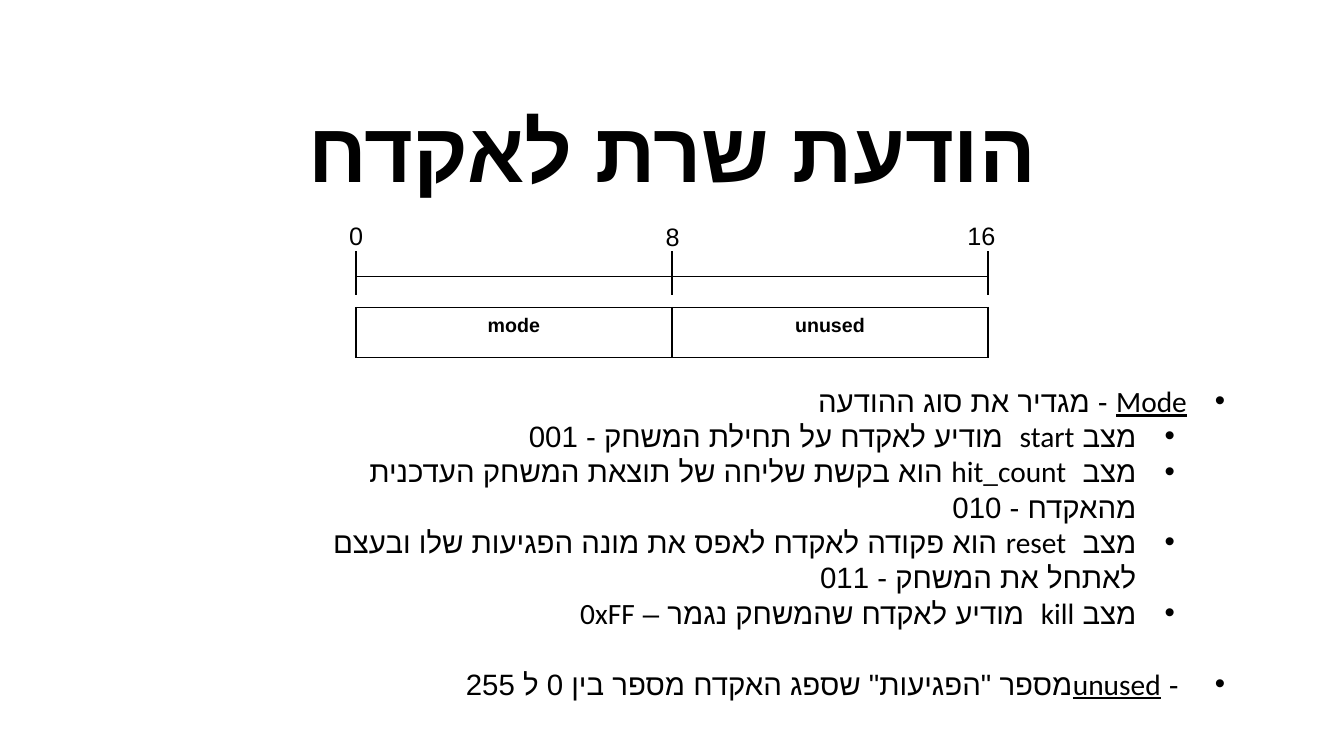
from lxml import etree
from pptx import Presentation
from pptx.dml.color import RGBColor
from pptx.enum.shapes import MSO_CONNECTOR as Connector
from pptx.enum.text import MSO_ANCHOR as Anchor, MSO_AUTO_SIZE as AutoSize, PP_ALIGN as Align
from pptx.oxml.ns import qn
from pptx.util import Inches, Pt

BLACK = RGBColor(0x00, 0x00, 0x00)

FIELD_LEFT, FIELD_WIDTH = 3.53, 3.135
FIELDS = ["mode", "unused"]

# Each bit label: text, left, top, width
BIT_LABELS = [("0", 3.36, 2.14, 0.34), ("8", 6.5, 2.15, 0.34), ("16", 9.49, 2.14, 0.48)]

# Each item: level, indent, space before in points, runs of (text, underlined)
ITEMS = [
    (1, 0.88, 0, [("Mode", True), (" - מגדיר את סוג ההודעה", False)]),
    (2, 1.38, 0, [("מצב start  מודיע לאקדח על תחילת המשחק - 001", False)]),
    (2, 1.38, 0, [("מצב  hit_count הוא בקשת שליחה של תוצאת המשחק העדכנית מהאקדח - 010", False)]),
    (2, 1.38, 0, [("מצב  reset הוא פקודה לאקדח לאפס את מונה הפגיעות שלו ובעצם "
                   "לאתחל את המשחק - 011", False)]),
    (2, 1.38, 0, [("מצב kill  מודיע לאקדח שהמשחק נגמר – 0xFF", False)]),
    (2, 0.88, 25.5, [(" - ", False), ("unused", True),
                     ("מספר \"הפגיעות\" שספג האקדח מספר בין 0 ל 255", False)]),
]


def add_span(para, text, size, font="Calibri", bold=False, underline=False):
    span = para.add_run()
    span.text = text
    span.font.name = font
    span.font.size = Pt(size)
    span.font.bold = bold
    span.font.underline = underline
    span.font.color.rgb = BLACK
    # Hebrew letters take the complex-script font
    etree.SubElement(span.font._element, qn("a:cs"), typeface="Arial")


def set_right_to_left(para, align):
    para.alignment = align
    para._p.get_or_add_pPr().set("rtl", "1")


def add_bullet(para, indent):
    properties = para._p.get_or_add_pPr()
    properties.set("marL", str(Inches(indent)))
    properties.set("indent", str(-Inches(0.38)))
    etree.SubElement(properties, qn("a:buFont"), typeface="Arial")
    etree.SubElement(properties, qn("a:buChar"), char="•")


def set_borders(cell, visible):
    properties = cell._tc.get_or_add_tcPr()
    for index, side in enumerate("LRTB"):
        line = etree.Element(qn(f"a:ln{side}"), w=str(Pt(1)))
        if side in visible:
            fill = etree.SubElement(line, qn("a:solidFill"))
            etree.SubElement(fill, qn("a:srgbClr"), val=str(BLACK))
        else:
            etree.SubElement(line, qn("a:noFill"))
        properties.insert(index, line)


def add_field_table(page, top, height, borders, labels):
    frame = page.shapes.add_table(1, len(labels), Inches(FIELD_LEFT), Inches(top),
                                  Inches(FIELD_WIDTH * len(labels)), Inches(height))
    table = frame.table
    table.first_row = table.horz_banding = False
    for cell, label in zip(table.iter_cells(), labels):
        cell.fill.background()
        set_borders(cell, borders)
        cell.margin_left = cell.margin_right = Inches(0.07)
        cell.margin_top = cell.margin_bottom = Inches(0.07)
        if label:
            para = cell.text_frame.paragraphs[0]
            para.alignment = Align.CENTER
            add_span(para, label, 14, font="Arial", bold=True)


def add_box(page, left, top, width, height, wrap):
    box = page.shapes.add_textbox(Inches(left), Inches(top), Inches(width), Inches(height))
    box.text_frame.word_wrap = wrap
    box.text_frame.auto_size = AutoSize.SHAPE_TO_FIT_TEXT
    return box.text_frame


def add_title(page, text):
    title = page.shapes.title
    title.left, title.top = Inches(0.92), Inches(0.74)
    title.width, title.height = Inches(11.5), Inches(1.6)
    title.text_frame.vertical_anchor = Anchor.MIDDLE
    para = title.text_frame.paragraphs[0]
    set_right_to_left(para, Align.CENTER)
    para.line_spacing = 0.9
    add_span(para, text, 60, bold=True)


def add_items(page):
    frame = add_box(page, 2.88, 3.75, 9.87, 3.64, wrap=True)
    for index, (level, indent, before, spans) in enumerate(ITEMS):
        para = frame.add_paragraph() if index else frame.paragraphs[0]
        para.level = level
        set_right_to_left(para, Align.RIGHT)
        if before:
            para.space_before = Pt(before)
        add_bullet(para, indent)
        for text, underline in spans:
            add_span(para, text, 21, underline=underline)


def add_axis(page, y):
    axis = page.shapes.add_connector(
        Connector.STRAIGHT, Inches(FIELD_LEFT), Inches(y),
        Inches(FIELD_LEFT + FIELD_WIDTH * len(FIELDS)), Inches(y))
    axis.line.color.rgb = BLACK
    axis.line.width = Pt(0.75)
    etree.SubElement(axis._element.spPr, qn("a:effectLst"))


def add_bit_label(page, text, left, top, width):
    para = add_box(page, left, top, width, 0.4, wrap=False).paragraphs[0]
    set_right_to_left(para, Align.RIGHT)
    add_span(para, text, 18)


def main():
    deck = Presentation()
    deck.slide_width, deck.slide_height = Inches(13.33), Inches(7.5)
    page = deck.slides.add_slide(deck.slide_layouts[5])

    add_title(page, "הודעת שרת לאקדח")

    # Message fields and their explanation
    add_field_table(page, 3.05, 0.5, "LRTB", FIELDS)
    add_items(page)

    # Bit ruler above the fields
    add_field_table(page, 2.49, 0.44, "LR", [""] * len(FIELDS))
    add_axis(page, 2.74)
    for label in BIT_LABELS:
        add_bit_label(page, *label)

    deck.save("out.pptx")


if __name__ == "__main__":
    main()
